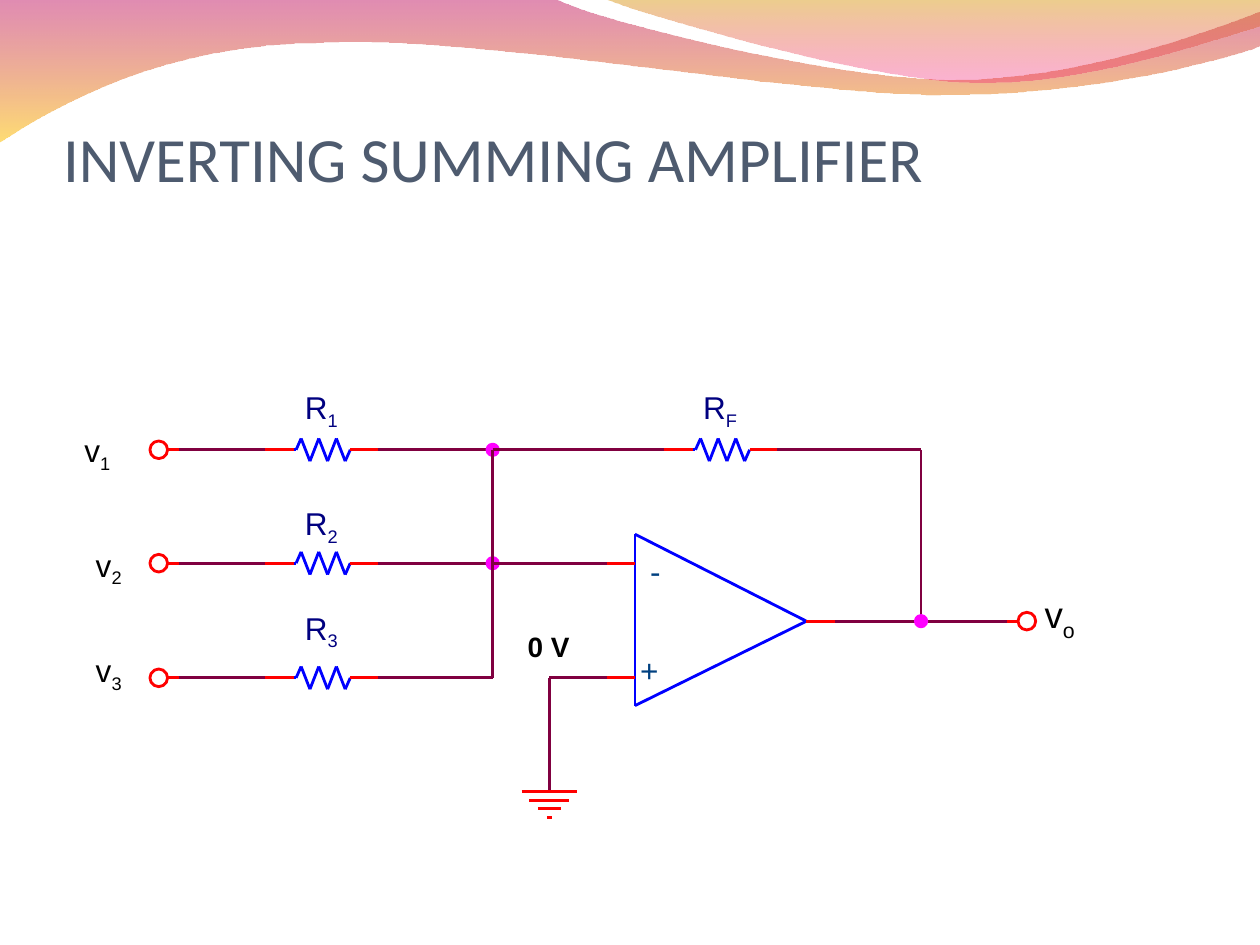
from itertools import pairwise

from lxml.etree import SubElement
from pptx import Presentation
from pptx.dml.color import RGBColor
from pptx.enum.shapes import MSO_CONNECTOR, MSO_SHAPE
from pptx.enum.text import MSO_ANCHOR, MSO_AUTO_SIZE, PP_ALIGN
from pptx.oxml.ns import qn
from pptx.util import Inches, Pt

COLORS = {
    "title": "4E5B6F", "wire": "800040", "lead": "FF0000", "part": "0000FF",
    "node": "FF00FF", "resistor": "000080", "sign": "004080", "black": "000000",
    "magenta": "BC0057", "amber": "FFC000", "gold": "D69200", "pink": "F40069",
}
LINE_WIDTH = Pt(1.62)
ROWS = (3.57, 4.47, 5.38)
BUS_X, OUTPUT_X, OUTPUT_Y = 3.91, 7.31, 4.93
GROUND_X, GROUND_Y = 4.36, 6.28
INPUT_X, AMPLIFIER_X, AMPLIFIER_TIP = 4.82, 5.04, 6.4
RESISTOR_X, FEEDBACK_X, RESISTOR_LENGTH = 2.1, 5.27, 0.9


def rgb(name):
    return RGBColor.from_string(COLORS[name])


def write_text(frame, text, subscript="", size=18, color="black", bold=False, font="Arial"):
    paragraph = frame.paragraphs[0]
    paragraph.alignment = PP_ALIGN.LEFT
    for content in filter(None, (text, subscript)):
        run = paragraph.add_run()
        run.text = content
        run.font.name = font
        run.font.size = Pt(size)
        run.font.bold = bold
        run.font.color.rgb = rgb(color)
    if subscript:
        run._r.get_or_add_rPr().set("baseline", "-25000")


def set_margins(frame, left, top, right, bottom):
    frame.margin_left, frame.margin_top = Inches(left), Inches(top)
    frame.margin_right, frame.margin_bottom = Inches(right), Inches(bottom)


def add_label(slide, box, text, margins=(0, 0, 0, 0), **style):
    frame = slide.shapes.add_textbox(*map(Inches, box)).text_frame
    frame.word_wrap = False
    frame.auto_size = MSO_AUTO_SIZE.SHAPE_TO_FIT_TEXT
    set_margins(frame, *margins)
    write_text(frame, text, **style)


def add_resistor_label(slide, x, y, subscript):
    add_label(slide, (x, y, 0.33, 0.34), "R", subscript=subscript, color="resistor")


def add_path(slide, points, color):
    for start, end in pairwise(points):
        connector = slide.shapes.add_connector(
            MSO_CONNECTOR.STRAIGHT, *map(Inches, (*start, *end)))
        connector.line.color.rgb = rgb(color)
        connector.line.width = LINE_WIDTH
        SubElement(connector._element.spPr, qn("a:effectLst"))


def add_circle(slide, x, y, diameter, color, filled):
    shape = slide.shapes.add_shape(
        MSO_SHAPE.OVAL, Inches(x - diameter / 2), Inches(y - diameter / 2),
        Inches(diameter), Inches(diameter))
    shape.shadow.inherit = False
    shape.line.color.rgb = rgb(color)
    shape.line.width = LINE_WIDTH
    if filled:
        shape.fill.solid()
        shape.fill.fore_color.rgb = rgb(color)
    else:
        shape.fill.background()


def add_node(slide, x, y):
    add_circle(slide, x, y, 0.09, "node", True)


def add_terminal(slide, x, y, lead_x):
    edge = x + 0.07 if lead_x > x else x - 0.07
    add_path(slide, [(edge, y), (lead_x, y)], "lead")
    add_circle(slide, x, y, 0.14, "lead", False)


def add_resistor(slide, x, y):
    peaks = [(x + 0.29 + 0.07 * i, y + (0.09 if i % 2 else -0.09)) for i in range(6)]
    body = [(x + 0.23, y), (x + 0.25, y), *peaks, (x + 0.68, y)]
    add_path(slide, [(x, y), body[0]], "lead")
    add_path(slide, body, "part")
    add_path(slide, [body[-1], (x + RESISTOR_LENGTH, y)], "lead")


def add_ground(slide, x, y):
    for i, half_width in enumerate((0.22, 0.16, 0.09, 0.02)):
        bar_y = y + 0.07 * i
        add_path(slide, [(x - half_width, bar_y), (x + half_width, bar_y)], "lead")


def bend_segments(shape, sections):
    segments = list(shape._element.spPr.iter(qn("a:lnTo")))
    for segment, section in zip(segments, sections):
        if len(section) == 1:
            continue
        segment.tag = qn("a:cubicBezTo")
        for control, (x, y) in enumerate(section[:-1]):
            point = SubElement(segment, qn("a:pt"))
            point.set("x", str(Inches(x) - shape.left))
            point.set("y", str(Inches(y) - shape.top))
            segment.insert(control, point)


def add_wave(slide, start, sections, stops):
    builder = slide.shapes.build_freeform(*map(Inches, start))
    ends = [tuple(map(Inches, section[-1])) for section in sections]
    builder.add_line_segments(ends, close=True)
    shape = builder.convert_to_shape()
    bend_segments(shape, sections)
    shape.shadow.inherit = False
    shape.line.fill.background()
    shape.fill.gradient()
    shape.fill.gradient_angle = 270
    for stop, (color, opacity) in zip(shape.fill.gradient_stops, stops):
        stop.color.rgb = rgb(color)
    for element, (color, opacity) in zip(shape._element.spPr.iter(qn("a:srgbClr")), stops):
        SubElement(element, qn("a:alpha")).set("val", str(opacity * 1000))


def add_waves(slide):
    add_wave(slide, (0, -0.01), [
        [(4.4, -0.01)],
        [(4.76, 0.17), (6.64, 0.63), (7.58, 0.63)],
        [(8.53, 0.63), (9.58, 0.26), (10, 0.09)],
        [(10.01, 0.36)],
        [(9.83, 0.44), (8.7, 0.76), (7.46, 0.75)],
        [(6.22, 0.75), (3.82, 0.28), (2.57, 0.34)],
        [(1.29, 0.35), (0.46, 0.83), (-0.01, 1.13)],
    ], (("magenta", 45), ("amber", 55)))
    add_wave(slide, (4.79, -0.01), [
        [(5.09, 0.11), (6.82, 0.62), (7.69, 0.65)],
        [(8.56, 0.69), (9.61, 0.32), (10, 0.21)],
        [(10, 0)],
    ], (("gold", 45), ("pink", 30)))


def add_title(slide, text):
    title = slide.shapes.title
    title.left, title.top, title.width, title.height = map(Inches, (0.5, 0.3, 9, 1.25))
    frame = title.text_frame
    frame.auto_size = MSO_AUTO_SIZE.NONE
    frame.vertical_anchor = MSO_ANCHOR.BOTTOM
    set_margins(frame, 0, 0.05, 0, 0)
    write_text(frame, text, size=36, color="title", font="Calibri")


def add_inputs(slide):
    voltage_places = ((0.67, 3.42), (0.76, 4.33), (0.76, 5.17))
    resistor_tops = (3.08, 4, 4.83)
    rows = zip(ROWS, voltage_places, resistor_tops)
    for number, (y, voltage_place, resistor_top) in enumerate(rows, 1):
        add_terminal(slide, 1.26, y, 1.42)
        add_path(slide, [(1.42, y), (RESISTOR_X, y)], "wire")
        add_resistor(slide, RESISTOR_X, y)
        add_path(slide, [(RESISTOR_X + RESISTOR_LENGTH, y), (BUS_X, y)], "wire")
        add_label(slide, (*voltage_place, 0.21, 0.34), "v", subscript=str(number))
        add_resistor_label(slide, 2.42, resistor_top, str(number))
    for y in ROWS[:2]:
        add_node(slide, BUS_X, y)
    add_path(slide, [(BUS_X, y) for y in ROWS], "wire")


def add_feedback(slide):
    y = ROWS[0]
    add_path(slide, [(BUS_X, y), (FEEDBACK_X, y)], "wire")
    add_resistor(slide, FEEDBACK_X, y)
    add_path(slide, [(FEEDBACK_X + RESISTOR_LENGTH, y), (OUTPUT_X, y),
                     (OUTPUT_X, OUTPUT_Y)], "wire")
    add_resistor_label(slide, 5.58, 3.08, "F")


def add_amplifier(slide):
    top, bottom = (AMPLIFIER_X, 4.24), (AMPLIFIER_X, 5.6)
    add_path(slide, [top, (AMPLIFIER_TIP, OUTPUT_Y), bottom, top], "part")
    for y in ROWS[1:]:
        add_path(slide, [(INPUT_X, y), (AMPLIFIER_X, y)], "lead")
    add_path(slide, [(BUS_X, ROWS[1]), (INPUT_X, ROWS[1])], "wire")
    add_path(slide, [(INPUT_X, ROWS[2]), (GROUND_X, ROWS[2]), (GROUND_X, GROUND_Y)], "wire")
    add_ground(slide, GROUND_X, GROUND_Y)
    add_label(slide, (5.16, 4.38, 0.08, 0.3), "-", color="sign")
    add_label(slide, (5.08, 5.17, 0.15, 0.3), "+", color="sign")
    add_label(slide, (4.09, 4.95, 0.53, 0.37), "0 V", margins=(0.1, 0.05, 0.1, 0.05),
              size=16, bold=True)


def add_output(slide):
    add_path(slide, [(AMPLIFIER_TIP, OUTPUT_Y), (6.63, OUTPUT_Y)], "lead")
    add_path(slide, [(6.63, OUTPUT_Y), (OUTPUT_X, OUTPUT_Y), (7.99, OUTPUT_Y)], "wire")
    add_node(slide, OUTPUT_X, OUTPUT_Y)
    add_terminal(slide, 8.15, OUTPUT_Y, 7.99)
    add_label(slide, (8.29, 4.7, 0.24, 0.4), "v", subscript="o", size=21)


def main():
    presentation = Presentation()
    presentation.slide_width, presentation.slide_height = Inches(10), Inches(7.5)
    slide = presentation.slides.add_slide(presentation.slide_layouts[5])
    add_waves(slide)
    add_title(slide, "INVERTING SUMMING AMPLIFIER")
    add_inputs(slide)
    add_feedback(slide)
    add_amplifier(slide)
    add_output(slide)
    presentation.save("out.pptx")


if __name__ == "__main__":
    main()
